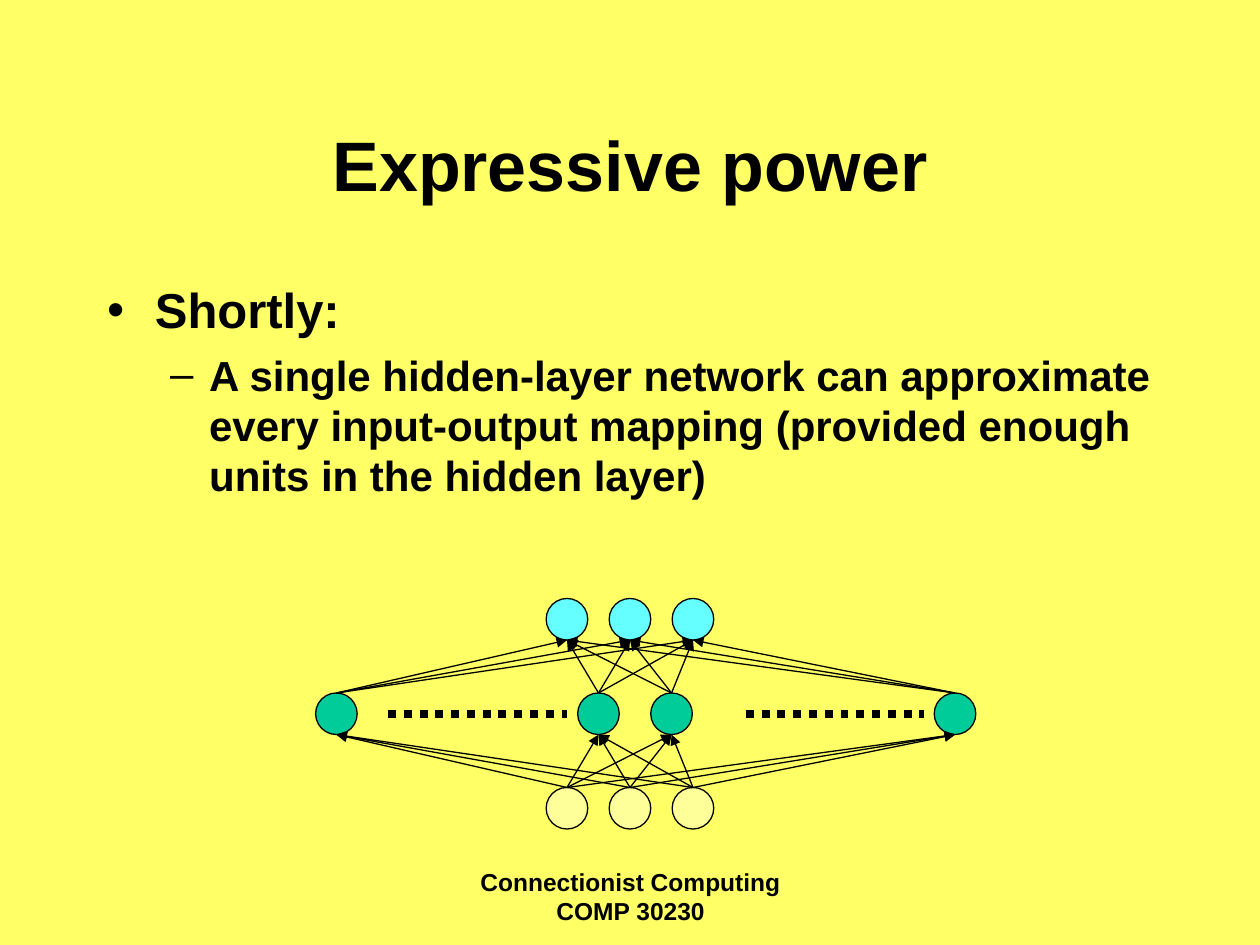
from dataclasses import dataclass
from itertools import product

from lxml import etree
from pptx import Presentation
from pptx.dml.color import RGBColor
from pptx.enum import dml, shapes, text
from pptx.oxml.ns import qn
from pptx.util import Inches, Pt

FONT = "Arial"
BLACK = "000000"
UNIT = 0.33


@dataclass
class Layer:
    """A row of units, given by their centres and their common top."""
    centres: list[float]
    top: float
    colour: str


@dataclass
class Bullet:
    words: str
    level: int
    size: int
    before: int
    left: float
    hanging: float


INPUT = Layer([4.5, 5, 5.5], 6.25, "FFFF99")
HIDDEN = Layer([2.67, 4.75, 5.33, 7.58], 5.5, "00CC99")
OUTPUT = Layer([4.5, 5, 5.5], 4.75, "66FFFF")
ELLIPSES = [(3.08, 4.5), (5.92, 7.33)]
BULLETS = [
    Bullet("Shortly:", 0, 28, 7, 0.38, 0.38),
    Bullet("A single hidden-layer network can approximate every input-output "
           "mapping (provided enough units in the hidden layer)", 1, 24, 6, 0.81, 0.31),
]


def rgb(colour: str) -> RGBColor:
    return RGBColor.from_string(colour)


def place(sp, left: float, top: float, width: float, height: float) -> None:
    box = {"left": left, "top": top, "width": width, "height": height}
    for name, value in box.items():
        setattr(sp, name, Inches(value))


def write(p, words: str, size: int) -> None:
    r = p.add_run()
    r.text = words
    for name, value in {"name": FONT, "size": Pt(size), "bold": True}.items():
        setattr(r.font, name, value)
    r.font.color.rgb = rgb(BLACK)


def draw_layer(group, layer: Layer) -> None:
    for x in layer.centres:
        sp = group.shapes.add_shape(
            shapes.MSO_SHAPE.OVAL, Inches(x - UNIT / 2), Inches(layer.top),
            Inches(UNIT), Inches(UNIT))
        sp.shadow.inherit = False
        sp.fill.solid()
        sp.fill.fore_color.rgb = rgb(layer.colour)
        sp.line.color.rgb = rgb(BLACK)
        sp.line.width = Pt(0.75)


def draw_line(group, start: tuple[float, float], end: tuple[float, float], width: float):
    line = group.shapes.add_connector(
        shapes.MSO_CONNECTOR.STRAIGHT, *map(Inches, start + end))
    line.line.color.rgb = rgb(BLACK)
    line.line.width = Pt(width)
    etree.SubElement(line._element.spPr, qn("a:effectLst"))
    return line


def connect(group, lower: Layer, upper: Layer) -> None:
    """Draw an arrow from every lower unit to every upper unit."""
    for x1, x2 in product(lower.centres, upper.centres):
        arrow = draw_line(group, (x1, lower.top), (x2, upper.top + UNIT), 0.75)
        etree.SubElement(arrow.line._get_or_add_ln(), qn("a:tailEnd"), type="triangle")


def fill_body(body) -> None:
    place(body, 0.75, 2.17, 8.5, 4.5)
    tf = body.text_frame
    tf.auto_size = text.MSO_AUTO_SIZE.NONE
    for i, bullet in enumerate(BULLETS):
        p = tf.add_paragraph() if i else tf.paragraphs[0]
        p.level = bullet.level
        p.space_before = Pt(bullet.before if i else 0)
        pPr = p._p.get_or_add_pPr()
        pPr.set("marL", str(Inches(bullet.left)))
        pPr.set("indent", str(-Inches(bullet.hanging)))
        write(p, bullet.words, bullet.size)


def main() -> None:
    prs = Presentation()
    prs.slide_width, prs.slide_height = Inches(10), Inches(7.5)
    s = prs.slides.add_slide(prs.slide_layouts[1])
    s.background.fill.solid()
    s.background.fill.fore_color.rgb = rgb("FFFF66")

    title, body = s.placeholders
    place(title, 0.75, 0.67, 8.5, 1.25)
    title.text_frame.vertical_anchor = text.MSO_ANCHOR.MIDDLE
    write(title.text_frame.paragraphs[0], "Expressive power", 40)
    fill_body(body)

    footer = s.shapes.add_textbox(*map(Inches, (3.42, 6.83, 3.17, 0.5)))
    footer.text_frame.word_wrap = True
    p = footer.text_frame.paragraphs[0]
    p.alignment = text.PP_ALIGN.CENTER
    write(p, "Connectionist Computing COMP 30230", 14)

    network = s.shapes.add_group_shape()
    for layer in (INPUT, HIDDEN, OUTPUT):
        draw_layer(network, layer)
    connect(network, INPUT, HIDDEN)
    connect(network, HIDDEN, OUTPUT)
    y = HIDDEN.top + UNIT / 2
    for x1, x2 in ELLIPSES:
        dots = draw_line(network, (x1, y), (x2, y), 4.5)
        dots.line.dash_style = dml.MSO_LINE.ROUND_DOT

    prs.save("out.pptx")


if __name__ == "__main__":
    main()
